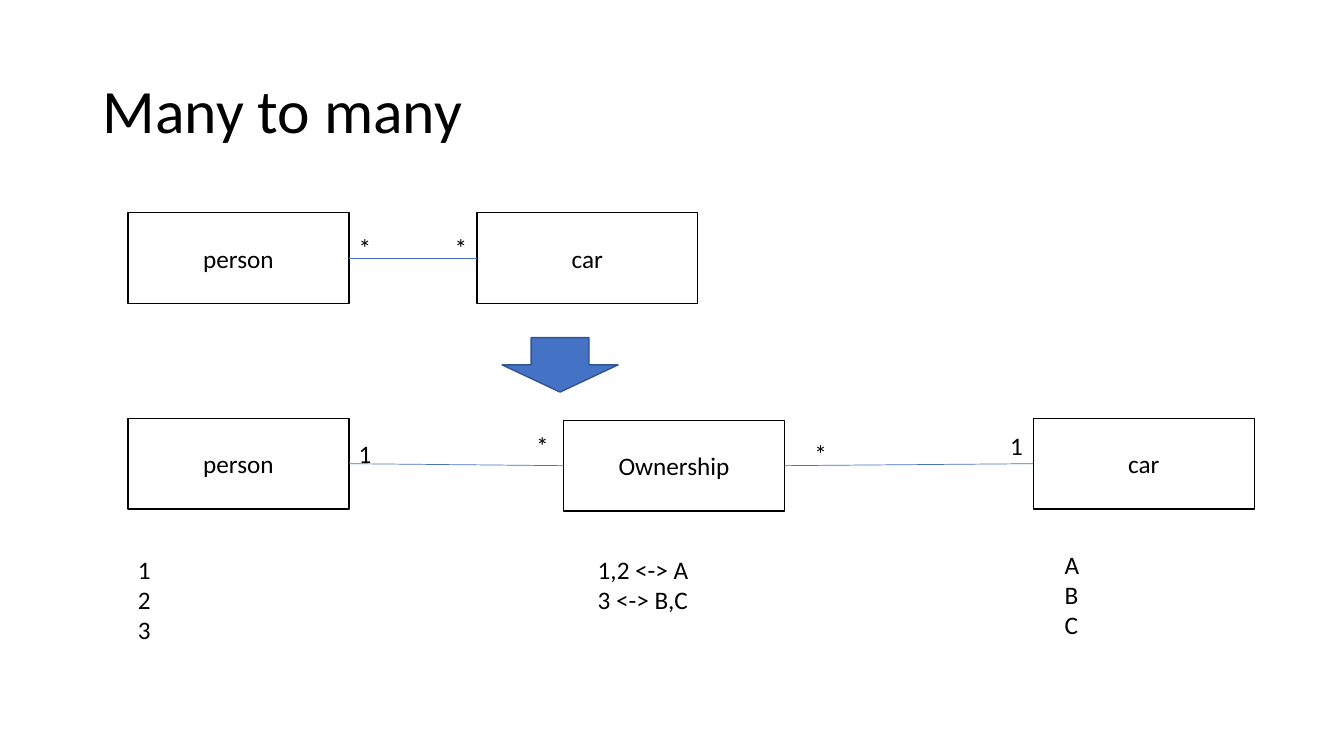
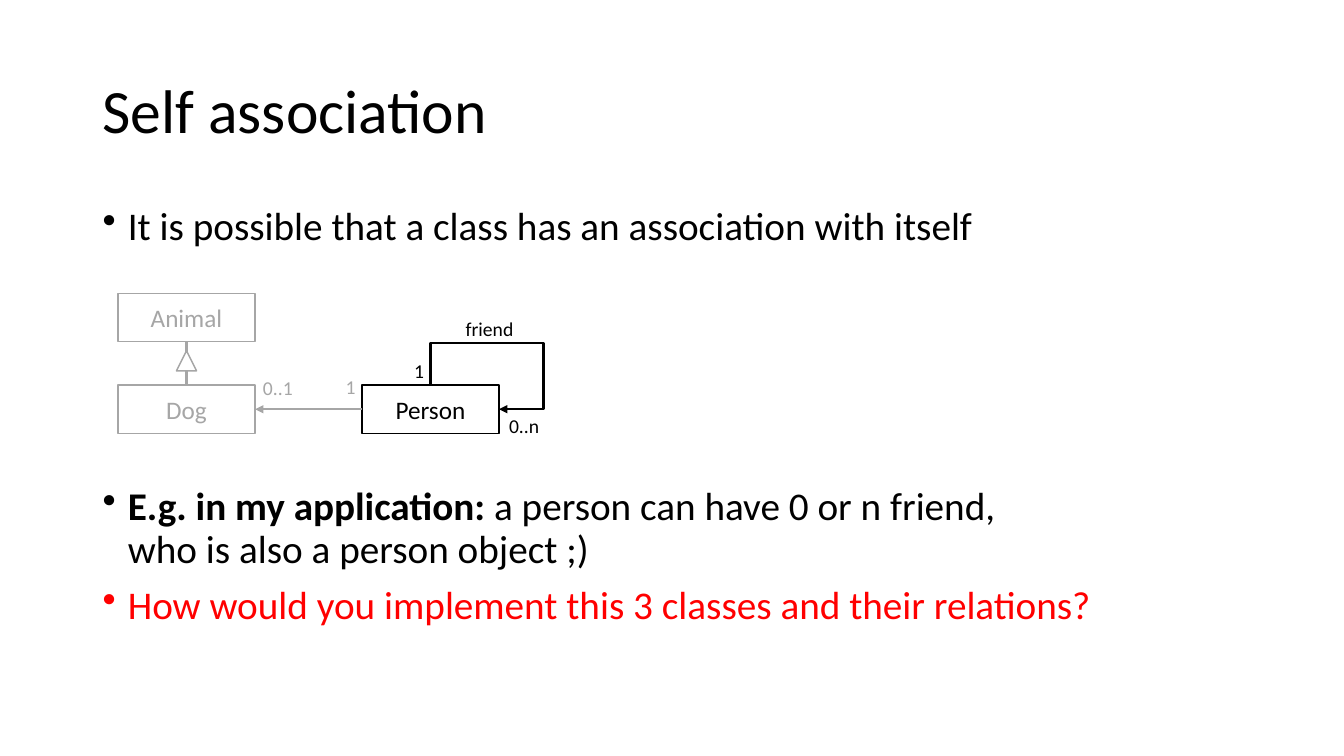
from pptx import Presentation
from pptx.dml.color import RGBColor
from pptx.enum import shapes, text
from pptx.util import Inches, Pt
from lxml import etree

FONT = "Calibri"
BLACK, WHITE, GREY, RED = "000000", "FFFFFF", "A6A6A6", "FF0000"
BLUE, DARK_BLUE = "4472C4", "325491"
DRAWING = "{http://schemas.openxmlformats.org/drawingml/2006/main}"
TOP, LEFT, BOTTOM, RIGHT = range(4)


def colour(value):
    return RGBColor.from_string(value)


def style_font(font, size, ink):
    font.name = FONT
    font.size = Pt(size)
    font.color.rgb = colour(ink)


def style_line(line, ink, width):
    line.color.rgb = colour(ink)
    line.width = Pt(width)


def add_arrowhead(line):
    etree.SubElement(line._get_or_add_ln(), DRAWING + "tailEnd", type="triangle")


def add_text_area(page, left, top, width, height):
    box = page.shapes.add_textbox(Inches(left), Inches(top), Inches(width), Inches(height))
    box.text_frame.word_wrap = True
    return box.text_frame


def add_title(page, words):
    frame = add_text_area(page, 0.92, 0.4, 11.5, 1.45)
    frame.vertical_anchor = text.MSO_ANCHOR.MIDDLE
    para = frame.paragraphs[0]
    para.text = words
    para.line_spacing = 0.9
    style_font(para.font, 44, BLACK)


def add_bullet(para, spans, ink=BLACK, gap=10):
    para.line_spacing = 0.9
    para.space_before = Pt(gap)
    style_font(para.font, 28, ink)
    properties = para._p.get_or_add_pPr()
    properties.set("marL", str(Inches(0.25)))
    properties.set("indent", str(-Inches(0.25)))
    bullet = etree.Element(DRAWING + "buChar", char="•")
    properties.find(DRAWING + "defRPr").addprevious(bullet)
    for words, bold in spans:
        for number, line in enumerate(words.split("\n")):
            if number:
                para.add_line_break()
            span = para.add_run()
            span.text = line
            style_font(span.font, 28, ink)
            span.font.bold = bold


def add_preset(page, kind, left, top, width, height, fill, ink):
    shape = page.shapes.add_shape(
        kind, Inches(left), Inches(top), Inches(width), Inches(height))
    shape.shadow.inherit = False
    shape.fill.solid()
    shape.fill.fore_color.rgb = colour(fill)
    style_line(shape.line, ink, 1)
    return shape


def add_class(page, name, left, top, width=2.19, height=0.9, ink=BLACK):
    box = add_preset(page, shapes.MSO_SHAPE.RECTANGLE, left, top, width, height, WHITE, ink)
    box.text_frame.vertical_anchor = text.MSO_ANCHOR.MIDDLE
    para = box.text_frame.paragraphs[0]
    para.text = name
    para.alignment = text.PP_ALIGN.CENTER
    style_font(para.font, 18, ink)
    return box


def add_label(page, words, left, top, width=0.33, size=18, ink=BLACK):
    lines = words.split("\n")
    height = 0.1 + len(lines) * size * 1.22 / 72
    frame = add_text_area(page, left, top, width, height)
    frame.word_wrap = False
    frame.auto_size = text.MSO_AUTO_SIZE.SHAPE_TO_FIT_TEXT
    frame.text = words
    for para in frame.paragraphs:
        style_font(para.font, size, ink)


def link(page, start, start_site, end, end_site, ink=BLUE, width=0.5, arrow=False):
    line = page.shapes.add_connector(shapes.MSO_CONNECTOR.STRAIGHT, 0, 0, 0, 0)
    line.begin_connect(start, start_site)
    line.end_connect(end, end_site)
    style_line(line.line, ink, width)
    if arrow:
        add_arrowhead(line.line)
    etree.SubElement(line._element.spPr, DRAWING + "effectLst")


def add_loop(page, points):
    corners = [(Inches(x), Inches(y)) for x, y in points]
    builder = page.shapes.build_freeform(*corners[0])
    builder.add_line_segments(corners[1:], close=False)
    loop = builder.convert_to_shape()
    loop.shadow.inherit = False
    loop.fill.background()
    style_line(loop.line, BLACK, 1.5)
    add_arrowhead(loop.line)


def build_many_to_many(page):
    add_title(page, "Many to many")

    person = add_class(page, "person", 1.27, 2.11)
    car = add_class(page, "car", 4.73, 2.11)
    link(page, person, RIGHT, car, LEFT)

    add_preset(page, shapes.MSO_SHAPE.DOWN_ARROW, 4.98, 3.35, 1.15, 0.54, BLUE, DARK_BLUE)

    person = add_class(page, "person", 1.27, 4.15)
    ownership = add_class(page, "Ownership", 5.59, 4.17)
    car = add_class(page, "car", 10.25, 4.15)
    link(page, person, RIGHT, ownership, LEFT)
    link(page, ownership, RIGHT, car, LEFT)

    for words, left, top in (
        ("*", 3.46, 2.26), ("*", 4.41, 2.26),
        ("1", 3.46, 4.3), ("*", 5.22, 4.22),
        ("*", 7.98, 4.3), ("1", 9.92, 4.22),
        ("1\n2\n3", 1.27, 5.45),
    ):
        add_label(page, words, left, top)
    add_label(page, "1,2 <-> A\n3 <-> B,C", 5.83, 5.45, 1.11)
    add_label(page, "A\nB\nC", 10.46, 5.4, 0.35)


def build_self_association(page):
    add_title(page, "Self association")

    body = add_text_area(page, 0.92, 2, 11.5, 4.76)
    add_bullet(body.paragraphs[0],
               [("It is possible that a class has an association with itself", False)])
    add_bullet(body.add_paragraph(),
               [("E.g. in my application: ", True),
                ("a person can have 0 or n friend,\nwho is also a person object ;)", False)],
               gap=170)
    add_bullet(body.add_paragraph(),
               [("How would you implement this 3 classes and their relations?", False)], RED)

    size = (1.36, 0.48)
    person = add_class(page, "Person", 3.59, 3.82, *size)
    dog = add_class(page, "Dog", 1.17, 3.82, *size, GREY)
    animal = add_class(page, "Animal", 1.17, 2.91, *size, GREY)
    link(page, dog, TOP, animal, BOTTOM, GREY, 1.5)
    add_preset(page, shapes.MSO_SHAPE.FLOWCHART_EXTRACT, 1.75, 3.48, 0.2, 0.2, WHITE, GREY)
    link(page, person, LEFT, dog, RIGHT, GREY, 1.5, arrow=True)
    add_loop(page, [(4.27, 3.82), (4.27, 3.4), (5.39, 3.4), (5.39, 4.06), (4.95, 4.06)])

    for words, left, top, width, ink in (
        ("1", 3.33, 3.67, 0.3, GREY),
        ("0..1", 2.51, 3.68, 0.5, GREY),
        ("friend", 4.52, 3.09, 0.68, BLACK),
        ("1", 4.01, 3.51, 0.29, BLACK),
        ("0..n", 4.95, 4.06, 0.51, BLACK),
    ):
        add_label(page, words, left, top, width, 14, ink)


def main():
    deck = Presentation()
    deck.slide_width = Inches(13.33)
    deck.slide_height = Inches(7.5)
    for build in (build_many_to_many, build_self_association):
        build(deck.slides.add_slide(deck.slide_layouts[6]))
    deck.save("out.pptx")


main()
